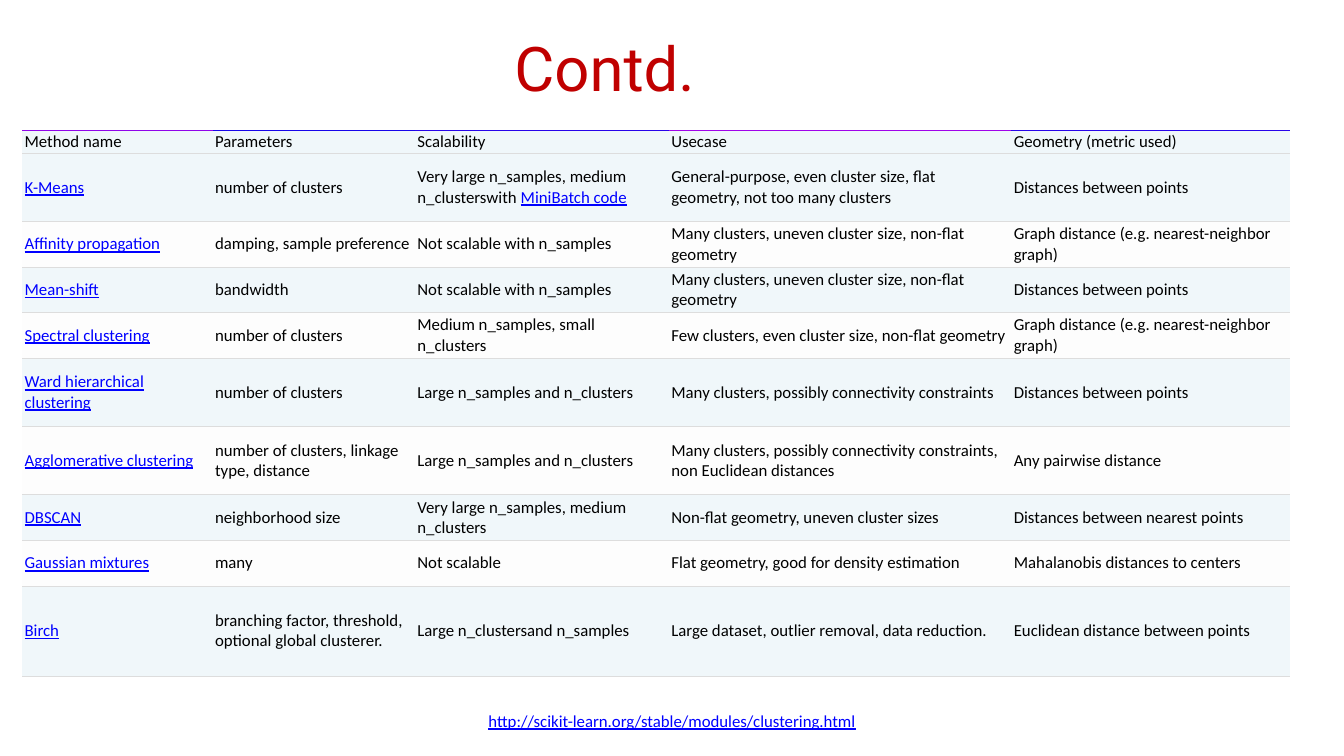
from lxml import etree
from pptx import Presentation
from pptx.dml.color import RGBColor
from pptx.enum.text import MSO_ANCHOR, PP_ALIGN
from pptx.oxml.ns import qn
from pptx.util import Cm, Pt

MIDDLE = MSO_ANCHOR.MIDDLE
CENTER = PP_ALIGN.CENTER

COLORS = {
    "title": "C00000",
    "text": "000000",
    "link": "0000FF",
    "tinted_row": "F0F7FA",
    "plain_row": "FDFDFD",
    "rule": "DDDDDD",
}
HEADER_RULES = ["9005EA", "1805EA", "2804EA", "A004EA", "2804EA"]

COLUMN_WIDTHS = [4.8, 5.1, 6.4, 8.63, 7.02]
ROW_HEIGHTS = [0.58, 1.72, 1.15, 1.15, 1.15, 1.72, 1.72, 1.15, 1.15, 2.27]

HEADINGS = ["Method name", "Parameters", "Scalability", "Usecase", "Geometry (metric used)"]
METHODS = [
    ["K-Means", "number of clusters", "Very large n_samples, medium n_clusterswith ",
     "General-purpose, even cluster size, flat geometry, not too many clusters",
     "Distances between points"],
    ["Affinity propagation", "damping, sample preference", "Not scalable with n_samples",
     "Many clusters, uneven cluster size, non-flat geometry",
     "Graph distance (e.g. nearest-neighbor graph)"],
    ["Mean-shift", "bandwidth", "Not scalable with n_samples",
     "Many clusters, uneven cluster size, non-flat geometry",
     "Distances between points"],
    ["Spectral clustering", "number of clusters", "Medium n_samples, small n_clusters",
     "Few clusters, even cluster size, non-flat geometry",
     "Graph distance (e.g. nearest-neighbor graph)"],
    ["Ward hierarchical clustering", "number of clusters", "Large n_samples and n_clusters",
     "Many clusters, possibly connectivity constraints",
     "Distances between points"],
    ["Agglomerative clustering", "number of clusters, linkage type, distance",
     "Large n_samples and n_clusters",
     "Many clusters, possibly connectivity constraints, non Euclidean distances",
     "Any pairwise distance"],
    ["DBSCAN", "neighborhood size", "Very large n_samples, medium n_clusters",
     "Non-flat geometry, uneven cluster sizes",
     "Distances between nearest points"],
    ["Gaussian mixtures", "many", "Not scalable",
     "Flat geometry, good for density estimation",
     "Mahalanobis distances to centers"],
    ["Birch", "branching factor, threshold, optional global clusterer.",
     "Large n_clustersand n_samples",
     "Large dataset, outlier removal, data reduction.",
     "Euclidean distance between points"],
]
EXTRA_LINKS = {(1, 2): "MiniBatch code"}


def add_run(paragraph, text, color="text", size=12, font="Calibri"):
    run = paragraph.add_run()
    run.text = text
    run.font.name = font
    run.font.size = Pt(size)
    run.font.bold = False
    run.font.underline = color == "link"
    run.font.color.rgb = RGBColor.from_string(COLORS[color])


def add_centered_line(slide, box, text, **style):
    frame = slide.shapes.add_textbox(*map(Cm, box)).text_frame
    frame.word_wrap = True
    frame.vertical_anchor = MIDDLE
    paragraph = frame.paragraphs[0]
    paragraph.alignment = CENTER
    add_run(paragraph, text, **style)


def set_borders(cell, top, bottom):
    properties = cell._tc.get_or_add_tcPr()
    sides = [("a:lnL", None), ("a:lnR", None), ("a:lnT", top), ("a:lnB", bottom)]
    for position, (side, color) in enumerate(sides):
        border = etree.Element(qn(side), w=str(Pt(0.5)))
        if color:
            fill = etree.SubElement(border, qn("a:solidFill"))
            etree.SubElement(fill, qn("a:srgbClr"), val=color)
        else:
            etree.SubElement(border, qn("a:noFill"))
        properties.insert(position, border)


def fill_cell(cell, row, column, text):
    cell.margin_left, cell.margin_right = Cm(0.06), Cm(0.1)
    cell.margin_top = cell.margin_bottom = 0
    cell.vertical_anchor = MIDDLE
    tinted = row == 0 or row % 2 == 1
    cell.fill.solid()
    cell.fill.fore_color.rgb = RGBColor.from_string(
        COLORS["tinted_row" if tinted else "plain_row"])
    set_borders(cell, COLORS["rule"] if row else HEADER_RULES[column], COLORS["rule"])
    paragraph = cell.text_frame.paragraphs[0]
    add_run(paragraph, text, "link" if row and column == 0 else "text")
    if (row, column) in EXTRA_LINKS:
        add_run(paragraph, EXTRA_LINKS[row, column], "link")


def add_methods_table(slide, left, top):
    methods = slide.shapes.add_table(
        len(ROW_HEIGHTS), len(COLUMN_WIDTHS), Cm(left), Cm(top),
        Cm(sum(COLUMN_WIDTHS)), Cm(sum(ROW_HEIGHTS))).table
    methods.first_row = False
    methods.horz_banding = False
    for column, width in zip(methods.columns, COLUMN_WIDTHS):
        column.width = Cm(width)
    for row, height in zip(methods.rows, ROW_HEIGHTS):
        row.height = Cm(height)
    for row, texts in enumerate([HEADINGS, *METHODS]):
        for column, text in enumerate(texts):
            fill_cell(methods.cell(row, column), row, column, text)


def main():
    deck = Presentation()
    deck.slide_width, deck.slide_height = Cm(33.87), Cm(19.05)
    slide = deck.slides.add_slide(deck.slide_layouts[6])
    add_centered_line(slide, (0, 0.1, 30.48, 3.18), "Contd.",
                      color="title", size=44, font="Roboto")
    add_methods_table(slide, 0.56, 3.28)
    add_centered_line(slide, (11.58, 17.65, 10.72, 1.02),
                      "http://scikit-learn.org/stable/modules/clustering.html", color="link")
    deck.save("out.pptx")


if __name__ == "__main__":
    main()
